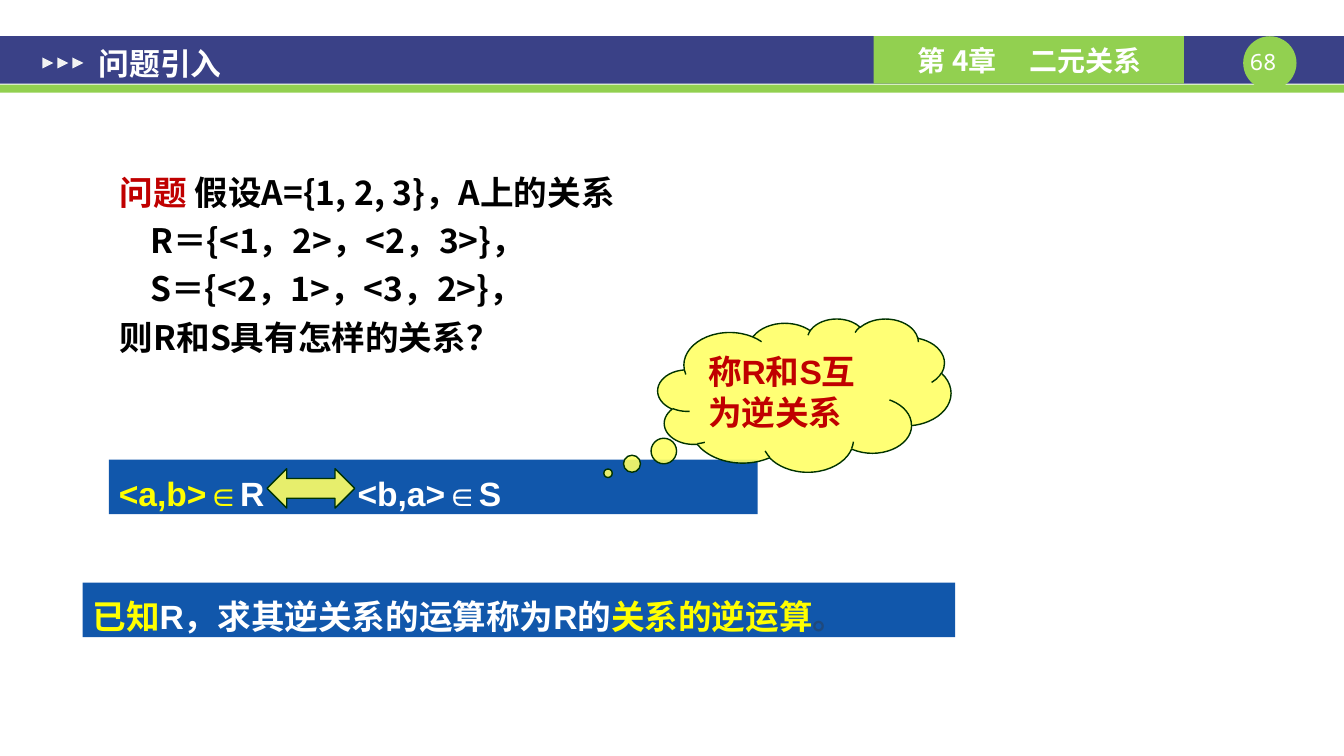
"""Build a slide that introduces the inverse of a binary relation."""
from lxml.etree import SubElement
from pptx import Presentation
from pptx.dml.color import RGBColor
from pptx.enum.shapes import MSO_SHAPE
from pptx.enum.text import MSO_ANCHOR, PP_ALIGN
from pptx.oxml.ns import qn
from pptx.util import Inches, Pt

W, H = 13.34, 7.5
CJK, MONO, ARIAL = "Noto Sans CJK SC", "Noto Sans Mono", "Arial"
NAVY, GREEN, BLUE, CREAM = "3A4187", "92D050", "1157AB", "FFFF66"
WHITE, BLACK, RED, YELLOW, SLATE = "FFFFFF", "000000", "C00000", "FFFF00", "1F497D"
PALE, OUTLINE = "F2F2F2", "003300"

CHAPTER = [[("第 4章\t二元关系", WHITE)]]
TITLE = [[("问题引入", WHITE)]]
PAGE = [[("68 ", WHITE)]]
PROBLEM = [
    [("问题", RED), (" 假设A={1, 2, 3}，A上的关系", BLACK)],
    [("R＝{<1，2>，<2，3>}，", BLACK)],
    [("S＝{<2，1>，<3，2>}，", BLACK)],
    [("则R和S具有怎样的关系？", BLACK)],
]
CLAIM = [[("<a,b>∈", YELLOW), ("R\t<b,a>∈S", WHITE)]]
CALLOUT = [[("称R和S互为逆关系", RED)]]
CONCLUSION = [[("已知", YELLOW), ("R，求其逆关系的运算称为R的", WHITE),
               ("关系的逆运算", YELLOW), ("。", SLATE)]]

# Shares of the slide in percent: left, top, width, height
BAND = (0, 4.8, 100, 6.27)
STRIP = (0, 11.2, 100, 1.07)
DISC = (92.5, 4.8, 3.97, 7.07)
PAGE_BOX = (92.5, 6.4, 3.97, 3.6)
CHAPTER_BOX = (65, 4.8, 23.09, 6.27)
MARKS = [(3.15 + 1.12 * i, 7.6, 0.82, 1.47) for i in range(3)]
TITLE_BOX = (6.37, 5.2, 43.7, 6.27)
PROBLEM_BOX = (7.95, 20.67, 59.07, 44.13)
CLAIM_BOX = (8.1, 60.8, 48.28, 7.2)
ARROW_BOX = (19.87, 62, 6.52, 5.2)
CLOUD_BOX = (48.95, 42.13, 21.81, 20.27)
CONCLUSION_BOX = (6.15, 77.07, 64.92, 7.2)


def rgb(color):
    return RGBColor.from_string(color)


def place(box):
    return [Inches(share * side / 100) for share, side in zip(box, (W, H, W, H))]


def add_shape(s, kind, box, fill, line=None, alpha=None, adj=(), rotation=0):
    sp = s.shapes.add_shape(kind, *place(box))
    sp.shadow.inherit = False
    sp.rotation = rotation
    sp.fill.solid()
    sp.fill.fore_color.rgb = rgb(fill)
    if alpha:
        clr = sp.fill._xPr.find(qn("a:solidFill"))[0]
        SubElement(clr, qn("a:alpha")).set("val", str(alpha * 1000))
    if line:
        sp.line.color.rgb = rgb(line)
        sp.line.width = Pt(1)
    else:
        sp.line.fill.background()
    for i, value in enumerate(adj):
        sp.adjustments[i] = value
    return sp


def write(sp, paras, size=24, font=CJK, bold=True, align=PP_ALIGN.LEFT,
          anchor=MSO_ANCHOR.TOP, ins=(0.1, 0.05, 0.1, 0.05), spacing=None,
          before=0, tab=None, indents=()):
    tf = sp.text_frame
    tf.word_wrap = True
    tf.vertical_anchor = anchor
    tf.margin_left, tf.margin_top, tf.margin_right, tf.margin_bottom = map(Inches, ins)
    for i, runs in enumerate(paras):
        p = tf.paragraphs[0] if i == 0 else tf.add_paragraph()
        p.alignment = align
        p.space_before = Pt(before)
        if spacing:
            p.line_spacing = spacing
        pPr = p._p.get_or_add_pPr()
        if i in indents:
            pPr.set("marL", str(Inches(0.3)))
        if tab:
            stops = SubElement(pPr, qn("a:tabLst"))
            SubElement(stops, qn("a:tab"), pos=str(Inches(tab)), algn="l")
        for text, color in runs:
            r = p.add_run()
            r.text = text
            r.font.size, r.font.bold, r.font.name = Pt(size), bold, font
            r.font.color.rgb = rgb(color)
            SubElement(r._r.get_or_add_rPr(), qn("a:ea")).set("typeface", font)


def add_text(s, box, paras, **fmt):
    write(s.shapes.add_textbox(*place(box)), paras, **fmt)


def add_header(s):
    add_shape(s, MSO_SHAPE.RECTANGLE, BAND, NAVY)
    add_shape(s, MSO_SHAPE.RECTANGLE, STRIP, GREEN)
    add_shape(s, MSO_SHAPE.OVAL, DISC, GREEN)
    add_text(s, PAGE_BOX, PAGE, size=16, font=MONO, bold=False,
             align=PP_ALIGN.CENTER, ins=(0, 0, 0, 0))
    chapter = add_shape(s, MSO_SHAPE.RECTANGLE, CHAPTER_BOX, GREEN)
    write(chapter, CHAPTER, size=20, anchor=MSO_ANCHOR.MIDDLE,
          ins=(0.44, 0.05, 0.1, 0.05), tab=1.11)
    for box in MARKS:
        add_shape(s, MSO_SHAPE.ISOSCELES_TRIANGLE, box, PALE, rotation=90)
    add_text(s, TITLE_BOX, TITLE, size=22, anchor=MSO_ANCHOR.MIDDLE,
             ins=(0.13, 0.07, 0.13, 0.07))


def add_content(s):
    add_text(s, PROBLEM_BOX, PROBLEM, ins=(0.13, 0.07, 0.13, 0.07),
             spacing=1.2, indents=(1, 2))
    bar = dict(font=ARIAL, align=PP_ALIGN.JUSTIFY, spacing=1.2, before=4.8)
    glass = dict(line=OUTLINE, alpha=90)
    write(add_shape(s, MSO_SHAPE.RECTANGLE, CLAIM_BOX, BLUE), CLAIM, tab=2.37, **bar)
    add_shape(s, MSO_SHAPE.LEFT_RIGHT_ARROW, ARROW_BOX, CREAM, adj=(0.5, 0.5), **glass)
    cloud = add_shape(s, MSO_SHAPE.CLOUD_CALLOUT, CLOUD_BOX, CREAM,
                      adj=(-0.67, 0.51), **glass)
    write(cloud, CALLOUT, font=ARIAL, anchor=MSO_ANCHOR.MIDDLE)
    write(add_shape(s, MSO_SHAPE.RECTANGLE, CONCLUSION_BOX, BLUE), CONCLUSION, **bar)


def main():
    prs = Presentation()
    prs.slide_width, prs.slide_height = Inches(W), Inches(H)
    s = prs.slides.add_slide(prs.slide_layouts[6])
    add_header(s)
    add_content(s)
    prs.save("out.pptx")


if __name__ == "__main__":
    main()
